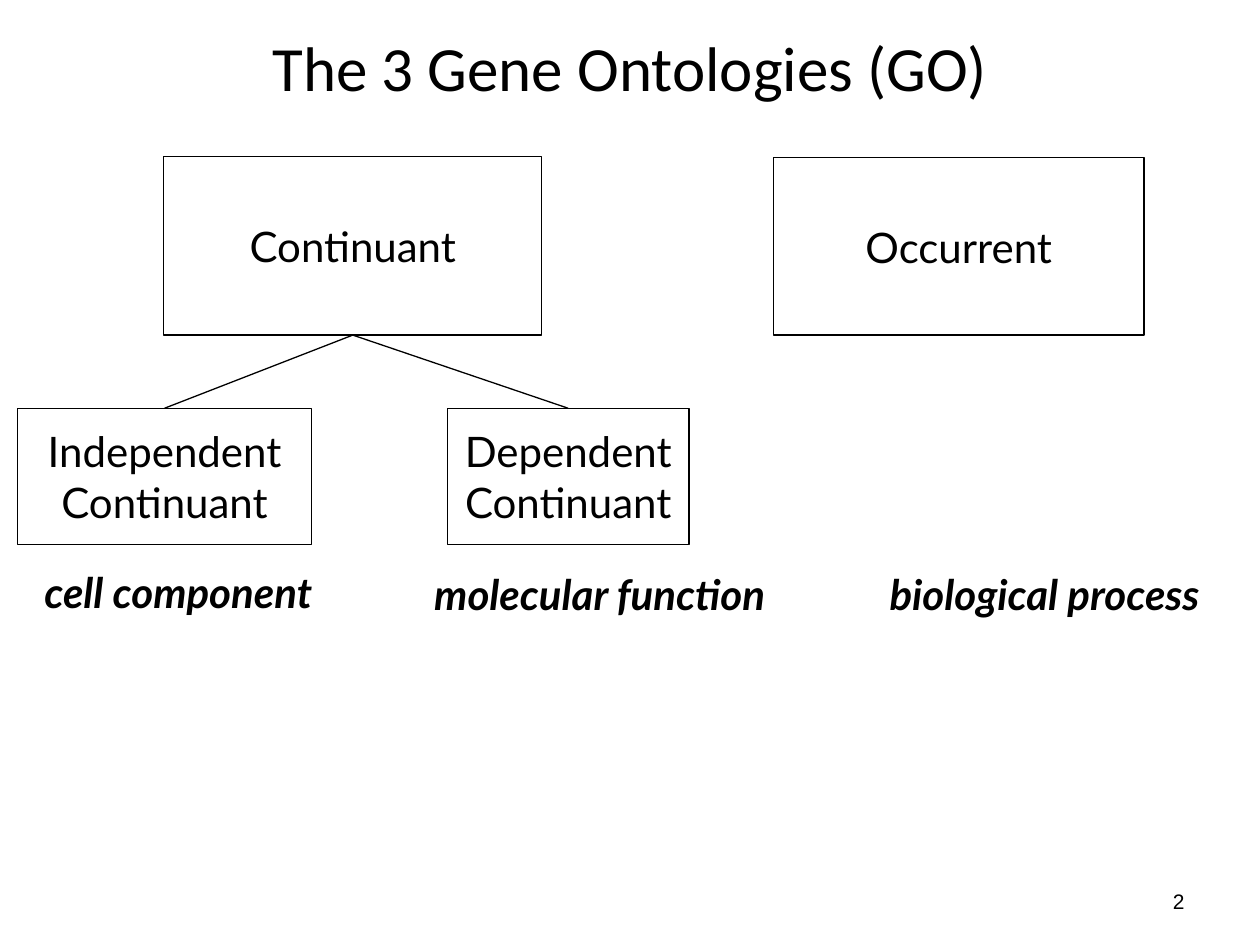
import pptx
import pptx.util
import pptx.dml.color
import pptx.enum.shapes
import pptx.enum.text
import pptx.oxml
import pptx.oxml.ns
from dataclasses import dataclass

Pt = pptx.util.Pt
Align = pptx.enum.text.PP_ALIGN
Anchor = pptx.enum.text.MSO_ANCHOR


@dataclass(frozen=True)
class Theme:
    """Hold the colours, fonts and sizes of the slide."""
    ink: pptx.dml.color.RGBColor = pptx.dml.color.RGBColor(0, 0, 0)
    line: float = 0.75
    title: tuple = ("Calibri", 36)
    body: tuple = ("Lato", 24)
    page: tuple = ("Arial", 12)


THEME = Theme()


def put(item, values):
    """Set each named value on an item."""
    for name, value in values.items():
        setattr(item, name, value)


def write(shape, text, face, align=Align.CENTER, wrap=True, anchor=Anchor.MIDDLE, **style):
    """Fill a shape with lines of styled text."""
    frame = shape.text_frame
    put(frame, {"text": text, "word_wrap": wrap, "vertical_anchor": anchor})
    name, size = face
    for para in frame.paragraphs:
        para.alignment = align
        put(para.font, {"name": name, "size": Pt(size), **style})
        para.font.color.rgb = THEME.ink


def trace(item):
    """Give an outline or line its colour and width."""
    item.line.color.rgb = THEME.ink
    item.line.width = Pt(THEME.line)


def label(slide, area, text, face, **style):
    """Add a text box."""
    box = slide.shapes.add_textbox(*map(Pt, area))
    write(box, text, face, **style)


def node(slide, area, text):
    """Add an outlined box for one class."""
    kind = pptx.enum.shapes.MSO_SHAPE.RECTANGLE
    box = slide.shapes.add_shape(kind, *map(Pt, area))
    box.shadow.inherit = False
    box.fill.background()
    trace(box)
    write(box, text, THEME.body, wrap=False)
    return box


def link(slide, top, low):
    """Join the foot of one box to the head of another."""
    kind = pptx.enum.shapes.MSO_CONNECTOR.STRAIGHT
    line = slide.shapes.add_connector(kind, 0, 0, 0, 0)
    line.begin_connect(top, 2)
    line.end_connect(low, 0)
    trace(line)
    tag = pptx.oxml.ns.qn("a:effectLst")
    line._element.spPr.append(line._element.makeelement(tag, {}))


def main():
    """Build and save the slide."""
    deck = pptx.Presentation()
    put(deck, {"slide_width": Pt(720), "slide_height": Pt(540)})
    slide = deck.slides.add_slide(deck.slide_layouts[6])

    label(slide, (0, 21.6, 720, 32.4), "The 3 Gene Ontologies (GO)", THEME.title)
    root = node(slide, (93.6, 89.3, 216, 102.2), "Continuant")
    node(slide, (442, 90, 211.7, 101.5), "Occurrent")
    for left, width, word in ((10, 168, "Independent"), (255.6, 138.2, "Dependent")):
        leaf = node(slide, (left, 233.3, width, 77.8), f"{word}\nContinuant")
        link(slide, root, leaf)

    terms = (
        (0, 320.4, 203.8, "cell component"),
        (217.4, 321.1, 250.6, "molecular function"),
        (468, 321.1, 257.8, "biological process"),
    )
    for left, top, width, text in terms:
        label(slide, (left, top, width, 36.7), text, THEME.body,
              anchor=Anchor.TOP, bold=True, italic=True)
    label(slide, (516.2, 500.4, 167.8, 28.8), "2", THEME.page, align=Align.RIGHT)
    deck.save("out.pptx")


if __name__ == "__main__":
    main()
